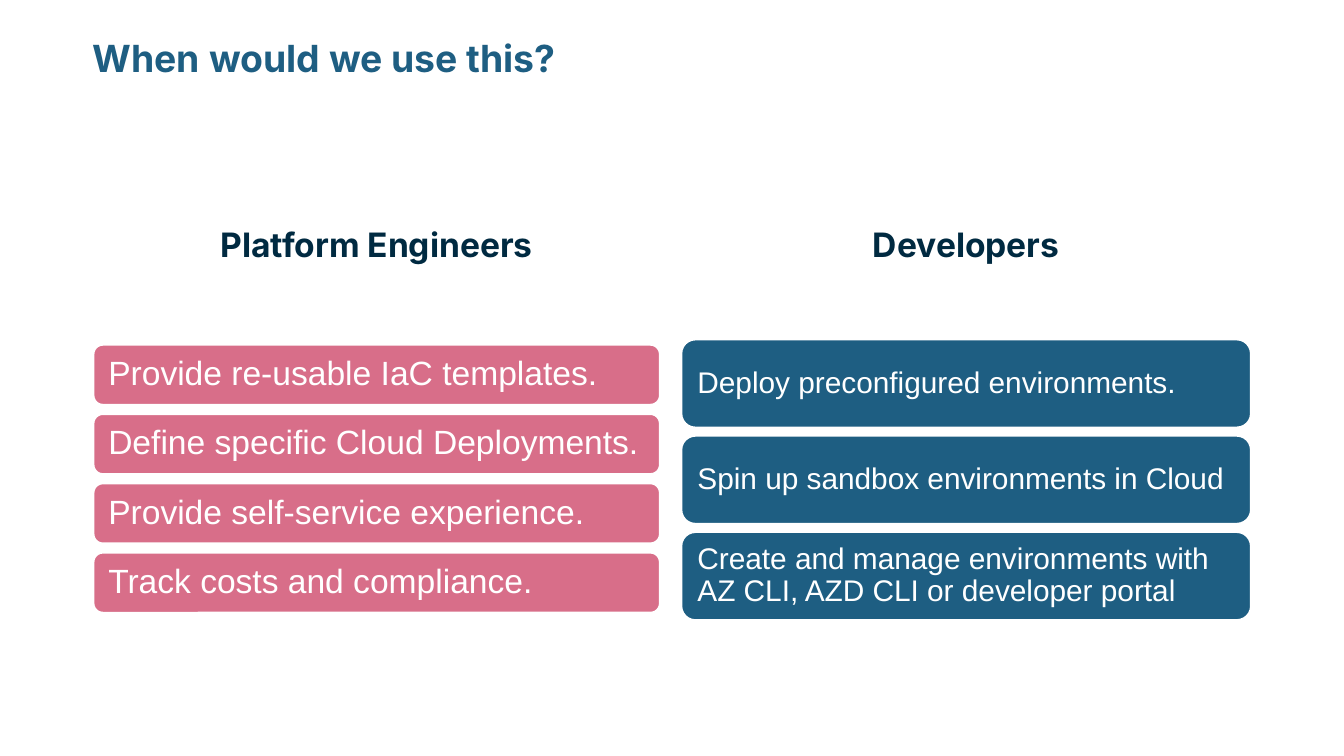
from pptx import Presentation
from pptx.dml.color import RGBColor
from pptx.enum.shapes import MSO_SHAPE
from pptx.enum.text import MSO_ANCHOR, MSO_AUTO_SIZE, PP_ALIGN
from pptx.util import Cm, Pt

ROUNDED = MSO_SHAPE.ROUNDED_RECTANGLE
TOP, MIDDLE, BOTTOM = MSO_ANCHOR.TOP, MSO_ANCHOR.MIDDLE, MSO_ANCHOR.BOTTOM
LEFT, CENTER = PP_ALIGN.LEFT, PP_ALIGN.CENTER
NO_FIT = MSO_AUTO_SIZE.NONE

COLORS = {"blue": "1E5E82", "navy": "002A41", "pink": "D86E89", "white": "FFFFFF"}

# Content; lengths in centimetres
TITLE = "When would we use this?"
AUDIENCES = [
    {
        "heading": "Platform Engineers",
        "uses": [
            "Provide re-usable IaC templates.",
            "Define specific Cloud Deployments.",
            "Provide self-service experience.",
            "Track costs and compliance.",
        ],
        "color": "pink", "size": 18, "placeholder": 1,
        "left": 1.75, "width": 10.74, "top": 6.5, "height": 1.17, "step": 1.31,
    },
    {
        "heading": "Developers",
        "uses": [
            "Deploy preconfigured environments.",
            "Spin up sandbox environments in Cloud",
            "Create and manage environments with AZ CLI, AZD CLI or developer portal",
        ],
        "color": "blue", "size": 16, "placeholder": 3,
        "left": 12.86, "width": 10.8, "top": 6.4, "height": 1.7, "step": 1.82,
    },
]


def rgb(name):
    return RGBColor.from_string(COLORS[name])


def write(shape, text, *, size, color, font="Arial", bold=False, align=LEFT,
          anchor=MIDDLE, spacing=0.9, inset_x=0.0, inset_y=0.0):
    frame = shape.text_frame
    frame.text = text
    frame.word_wrap = True
    frame.auto_size = NO_FIT
    frame.vertical_anchor = anchor
    frame.margin_left = frame.margin_right = Cm(inset_x)
    frame.margin_top = frame.margin_bottom = Cm(inset_y)
    paragraph = frame.paragraphs[0]
    paragraph.alignment = align
    paragraph.line_spacing = spacing
    paragraph.space_before = Pt(0)
    run_font = paragraph.runs[0].font
    run_font.name = font
    run_font.size = Pt(size)
    run_font.bold = bold
    run_font.color.rgb = rgb(color)


def place(shape, left, top, width, height):
    shape.left, shape.top = Cm(left), Cm(top)
    shape.width, shape.height = Cm(width), Cm(height)


def add_audience(slide, audience):
    left, width = audience["left"], audience["width"]

    # Column heading
    heading = slide.placeholders[audience["placeholder"]]
    place(heading, left, 3.51, width, 1.73)
    write(heading, audience["heading"], size=18, color="navy", font="Inter",
          bold=True, align=CENTER, anchor=BOTTOM, spacing=1.15,
          inset_x=0.25, inset_y=0.25)

    # Cards, one per use
    cards = slide.shapes.add_group_shape()
    for row, use in enumerate(audience["uses"]):
        top = audience["top"] + row * audience["step"]
        card = cards.shapes.add_shape(
            ROUNDED, Cm(left), Cm(top), Cm(width), Cm(audience["height"]))
        card.shadow.inherit = False
        card.fill.solid()
        card.fill.fore_color.rgb = rgb(audience["color"])
        card.line.color.rgb = rgb("white")
        card.line.width = Pt(2)
        write(card, use, size=audience["size"], color="white", inset_x=0.24, inset_y=0.18)


def main():
    presentation = Presentation()
    presentation.slide_width, presentation.slide_height = Cm(25.4), Cm(14.29)
    comparison = presentation.slide_layouts.get_by_name("Comparison")
    slide = presentation.slides.add_slide(comparison)

    # Title
    title = slide.shapes.title
    place(title, 1.75, 0.76, 21.9, 2.77)
    write(title, TITLE, size=20, color="blue", font="Inter", bold=True, anchor=TOP)

    for audience in AUDIENCES:
        add_audience(slide, audience)

    # Unused content placeholders
    for placeholder in list(slide.placeholders):
        if not placeholder.text_frame.text:
            placeholder.element.getparent().remove(placeholder.element)

    presentation.save("out.pptx")


if __name__ == "__main__":
    main()
